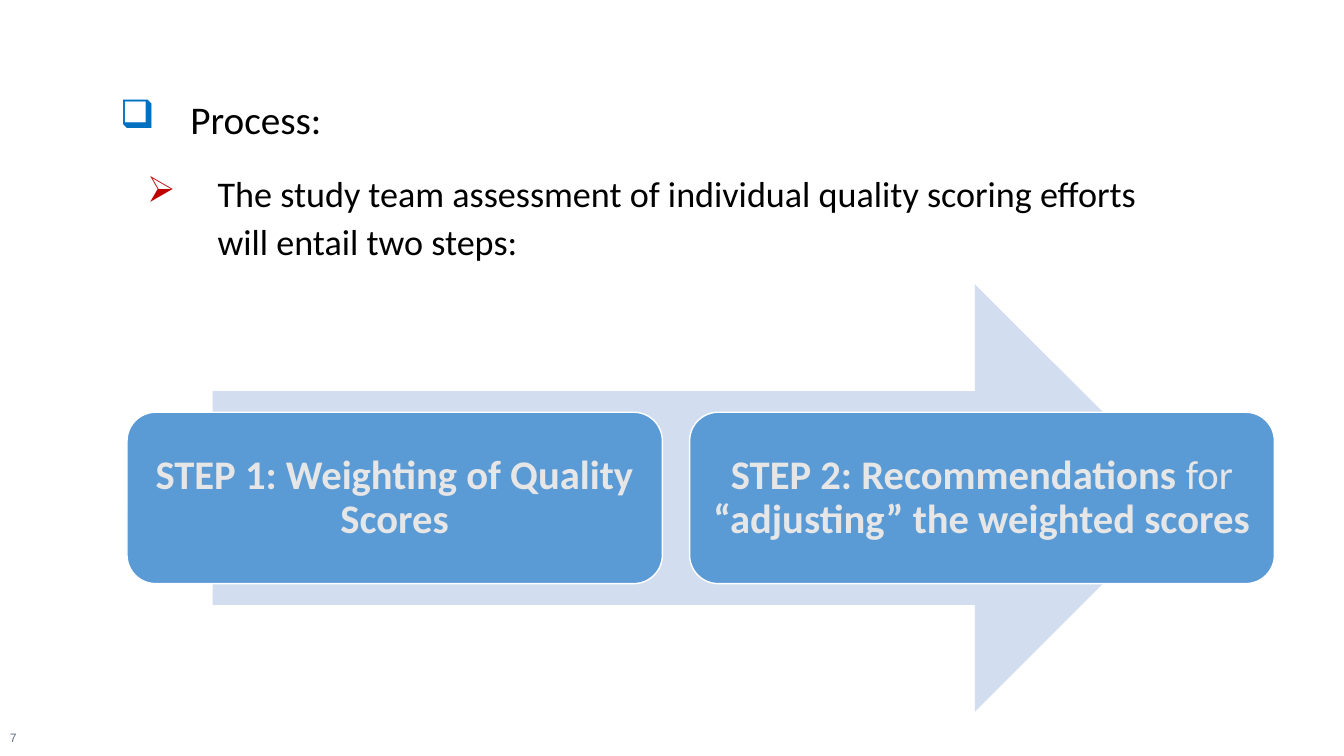
from lxml import etree
from pptx import Presentation
from pptx.dml.color import RGBColor
from pptx.enum.shapes import MSO_SHAPE
from pptx.enum.text import MSO_ANCHOR, PP_ALIGN
from pptx.oxml.ns import qn
from pptx.util import Inches, Pt

ARROW = MSO_SHAPE.RIGHT_ARROW
ROUNDED = MSO_SHAPE.ROUNDED_RECTANGLE
MIDDLE = MSO_ANCHOR.MIDDLE
BOTTOM = MSO_ANCHOR.BOTTOM
CENTER = PP_ALIGN.CENTER


def color(hex_value):
    return RGBColor.from_string(hex_value)


def add_run(paragraph, text, size, hex_value, font="Calibri", bold=False):
    run = paragraph.add_run()
    run.text = text
    run.font.name = font
    run.font.size = Pt(size)
    run.font.bold = bold
    run.font.color.rgb = color(hex_value)


def add_text_frame(slide, left, top, width, height):
    box = slide.shapes.add_textbox(Inches(left), Inches(top), Inches(width), Inches(height))
    box.text_frame.word_wrap = True
    return box.text_frame


def add_bullet(paragraph, symbol, hex_value, indent):
    properties = paragraph._p.get_or_add_pPr()
    properties.set("marL", str(Inches(indent)))
    properties.set("indent", str(Inches(-0.7)))
    bullet_color = etree.SubElement(properties, qn("a:buClr"))
    etree.SubElement(bullet_color, qn("a:srgbClr"), val=hex_value)
    etree.SubElement(properties, qn("a:buChar"), char=symbol)
    paragraph.line_spacing = 1.1
    paragraph.space_after = Pt(12)


def add_filled_shape(slide, preset, left, top, width, height, fill):
    shape = slide.shapes.add_shape(
        preset, Inches(left), Inches(top), Inches(width), Inches(height))
    shape.shadow.inherit = False
    shape.fill.solid()
    shape.fill.fore_color.rgb = color(fill)
    shape.line.fill.background()
    return shape


def add_step(slide, left, width, runs):
    step = add_filled_shape(slide, ROUNDED, left, 4.09, width, 1.7, "5B9BD5")
    step.line.color.rgb = color("FFFFFF")
    step.line.width = Pt(1)
    frame = step.text_frame
    frame.word_wrap = True
    frame.vertical_anchor = MIDDLE
    frame.margin_left = frame.margin_right = Inches(0.12)
    frame.margin_top = frame.margin_bottom = Inches(0.12)
    paragraph = frame.paragraphs[0]
    paragraph.alignment = CENTER
    paragraph.line_spacing = 0.9
    for text, bold in runs:
        add_run(paragraph, text, 29, "E7E6E6", bold=bold)


def add_process_text(slide):
    frame = add_text_frame(slide, 0.6, 0.85, 11.15, 1.97)
    heading = frame.paragraphs[0]
    add_bullet(heading, "❑", "0070C0", 1.19)
    add_run(heading, "Process:", 28, "000000")
    detail = frame.add_paragraph()
    detail.level = 1
    add_bullet(detail, "➢", "C00000", 1.46)
    detail.space_before = Pt(6)
    add_run(detail, "The study team assessment of individual quality scoring efforts "
            "will entail two steps:", 25.8, "000000")


def add_page_number(slide):
    frame = add_text_frame(slide, 0, 7.06, 0.6, 0.38)
    frame.vertical_anchor = BOTTOM
    add_run(frame.paragraphs[0], "7", 8.7, "677085", font="Arial")


def main():
    presentation = Presentation()
    presentation.slide_width = Inches(13.33)
    presentation.slide_height = Inches(7.5)
    slide = presentation.slides.add_slide(presentation.slide_layouts[6])
    add_page_number(slide)
    add_process_text(slide)
    add_filled_shape(slide, ARROW, 2.11, 2.82, 9.68, 4.24, "D2DEEF")
    add_step(slide, 1.26, 5.31, [("STEP 1: Weighting of Quality Scores", True)])
    add_step(slide, 6.84, 5.8, [
        ("STEP 2: Recommendations ", True),
        ("for", False),
        (" “adjusting” the weighted scores", True),
    ])
    presentation.save("out.pptx")


if __name__ == "__main__":
    main()
